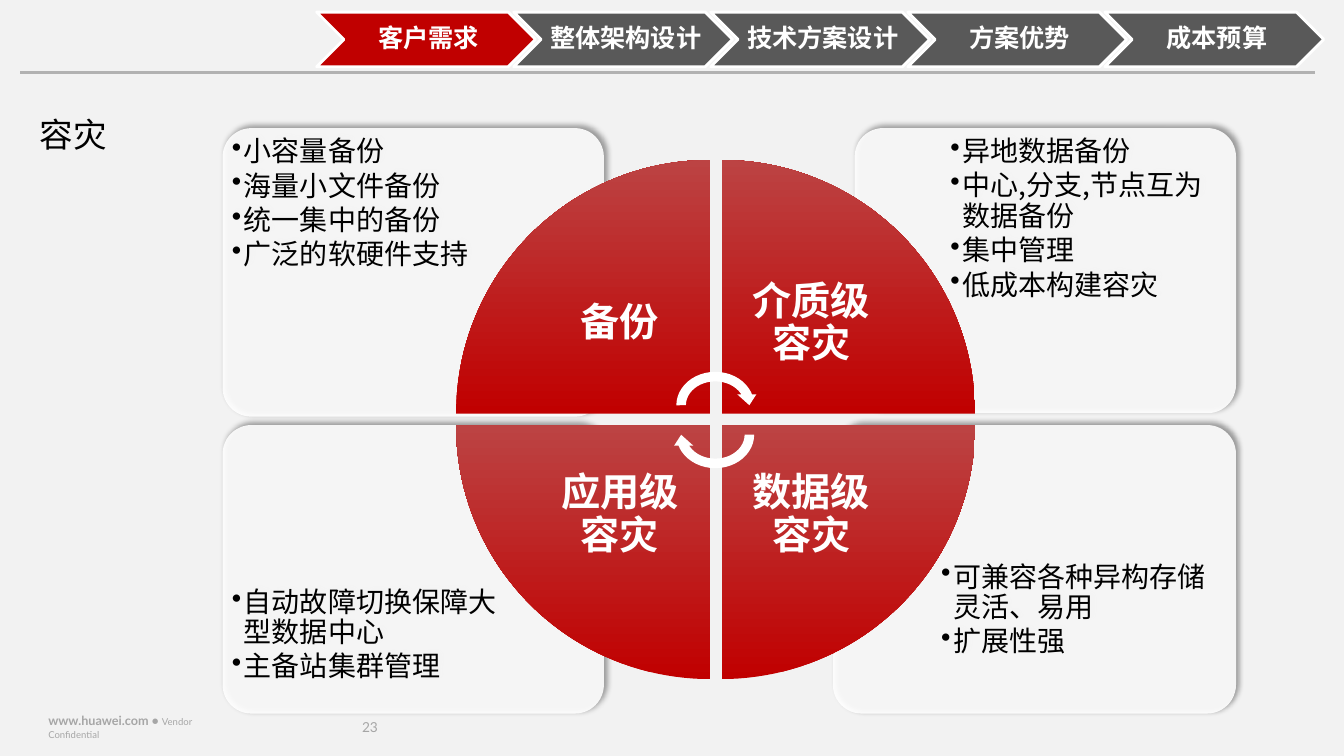
import math

from lxml import etree
from pptx import Presentation
from pptx.dml.color import RGBColor
from pptx.enum.shapes import MSO_CONNECTOR, MSO_SHAPE
from pptx.enum.text import MSO_ANCHOR, MSO_AUTO_SIZE, PP_ALIGN
from pptx.oxml import parse_xml
from pptx.oxml.ns import nsdecls, qn
from pptx.util import Inches, Pt

LEFT, CENTER = PP_ALIGN.LEFT, PP_ALIGN.CENTER
TOP, MIDDLE = MSO_ANCHOR.TOP, MSO_ANCHOR.MIDDLE
CHEVRON, ROUNDED = MSO_SHAPE.CHEVRON, MSO_SHAPE.ROUNDED_RECTANGLE
CYCLE_ARROW = MSO_SHAPE.CIRCULAR_ARROW

CELL = Inches(1) / 12  # the slide is a grid of 160 columns by 90 rows
CJK, LATIN = "Noto Sans CJK SC", "Lato"
COLORS = {
    "back": "F2F2F2", "red": "C00000", "rose": "BC4343", "dark": "595959",
    "white": "FFFFFF", "black": "000000", "rule": "B2B2B2", "muted": "A6A6A6",
}


def grid(*cells):
    return [round(c * CELL) for c in cells]


def rgb(name):
    return RGBColor.from_string(COLORS[name])


class SlideBuilder:
    def __init__(self, prs):
        self.s = prs.slides.add_slide(prs.slide_layouts[5])
        fill = self.s.background.fill
        fill.solid()
        fill.fore_color.rgb = rgb("back")

    def style_run(self, r, size, color, bold=False, font=CJK):
        r.font.size, r.font.bold, r.font.name = Pt(size), bold, font
        r.font.color.rgb = rgb(color)
        ea = etree.SubElement(r.font._element, qn("a:ea"))
        ea.set("typeface", font)

    def frame(self, sp, insets, anchor=TOP):
        tf = sp.text_frame
        tf.word_wrap, tf.auto_size = True, MSO_AUTO_SIZE.NONE
        tf.vertical_anchor = anchor
        (tf.margin_left, tf.margin_top,
         tf.margin_right, tf.margin_bottom) = grid(*insets)
        return tf

    def label(self, sp, text, size, insets, color="white", bold=True,
              align=CENTER, anchor=MIDDLE, spacing=0.9, font=CJK):
        tf = self.frame(sp, insets, anchor)
        tf.text = text
        p = tf.paragraphs[0]
        p.alignment, p.line_spacing = align, spacing
        self.style_run(p.runs[0], size, color, bold, font)
        return p

    def shape(self, kind, box, fill, line=None):
        sp = self.s.shapes.add_shape(kind, *grid(*box))
        sp.shadow.inherit = False
        sp.fill.solid()
        sp.fill.fore_color.rgb = rgb(fill)
        if line:
            sp.line.color.rgb, sp.line.width = rgb(line), Pt(2)
        else:
            sp.line.fill.background()
        return sp

    def textbox(self, box, text, size, insets, **style):
        sp = self.s.shapes.add_textbox(*grid(*box))
        return self.label(sp, text, size, insets, **style)

    def title(self, box, text):
        sp = self.s.shapes.title
        sp.left, sp.top, sp.width, sp.height = grid(*box)
        self.label(sp, text, 24, (1.2, 0.6, 1.2, 0.6), "black", False,
                   LEFT, TOP, 1.0)

    def rule(self, x1, x2, y):
        line = self.s.shapes.add_connector(MSO_CONNECTOR.STRAIGHT, *grid(x1, y, x2, y))
        line.line.color.rgb, line.line.width = rgb("rule"), Pt(2.25)
        etree.SubElement(line._element.spPr, qn("a:effectLst"))

    def card(self, box, insets, bullets):
        sp = self.shape(ROUNDED, box, "white")
        sp.adjustments[0] = 0.1
        color = sp._element.spPr.find(qn("a:solidFill"))[0]
        etree.SubElement(color, qn("a:alpha")).set("val", "90000")
        effects = sp._element.spPr.find(qn("a:effectLst"))
        effects.append(parse_xml(
            f'<a:outerShdw {nsdecls("a")} blurRad="{Pt(4)}" dist="{Pt(3)}" dir="18900000">'
            f'<a:srgbClr val="{COLORS["black"]}"><a:alpha val="40000"/></a:srgbClr>'
            '</a:outerShdw>'))
        tf = self.frame(sp, insets)
        tf.text = "\n".join(bullets)
        for p in tf.paragraphs:
            pPr = p._p.get_or_add_pPr()
            pPr.set("marL", str(Inches(0.12)))
            pPr.set("indent", str(-Inches(0.12)))
            etree.SubElement(pPr, qn("a:buChar")).set("char", "•")
            p.alignment, p.line_spacing, p.space_after = LEFT, 0.9, Pt(3)
            self.style_run(p.runs[0], 20, "black")

    def quadrant(self, center, radius, gap, side, text):
        (cx, cy), (sx, sy) = center, side
        x, y = cx + sx * gap / 2, cy + sy * gap / 2
        angles = [math.radians(a) for a in range(0, 91, 2)]
        arc = [grid(x + sx * radius * math.cos(a), y + sy * radius * math.sin(a))
               for a in angles]
        builder = self.s.shapes.build_freeform(*grid(x, y), scale=1.0)
        builder.add_line_segments(arc, close=True)
        sp = builder.convert_to_shape()
        sp.shadow.inherit = False
        sp.line.fill.background()
        sp.fill.gradient()
        sp.fill.gradient_angle = 90
        for stop, name in zip(sp.fill.gradient_stops, ("red", "rose")):
            stop.color.rgb = rgb(name)
        near, far = 2.6, 11.4
        left, right = (near, far) if sx > 0 else (far, near)
        top, bottom = (near, far) if sy > 0 else (far, near)
        self.label(sp, text, 28, (left, top, right, bottom))


def main():
    prs = Presentation()
    prs.slide_width, prs.slide_height = grid(160, 90)
    b = SlideBuilder(prs)

    # Title and footer
    b.title((3.5, 13, 13.4, 6), "容灾")
    b.textbox((43.1, 85.5, 4.8, 2.5), "23", 9.8, (0, 0, 0, 0), color="muted",
              bold=False, align=LEFT, spacing=0.85, font=LATIN)
    p = b.textbox((4.9, 85.1, 23, 2.8), "www.huawei.com • ", 9,
                  (0.85, 0.45, 0.85, 0.45), color="muted", align=LEFT,
                  spacing=1.0, font=LATIN)
    r = p.add_run()
    r.text = "Vendor Confidential"
    b.style_run(r, 6.8, "muted", font=LATIN)

    # Cards behind the disc
    cards = [
        ((26.5, 15.25, 45.4, 34.35), (0.1, 0.1, 11.4, 0),
         ["小容量备份", "海量小文件备份", "统一集中的备份", "广泛的软硬件支持"]),
        ((99.15, 50.6, 48, 34.35), (11.9, 15.4, 0.1, 0),
         ["可兼容各种异构存储灵活、易用", "扩展性强"]),
        ((26.5, 50.6, 45.4, 34.35), (0.1, 18.4, 10.4, 0),
         ["自动故障切换保障大型数据中心", "主备站集群管理"]),
        ((101.75, 15.25, 45.4, 33.95), (10.4, 0.1, 0.1, 0),
         ["异地数据备份", "中心,分支,节点互为数据备份", "集中管理", "低成本构建容灾"]),
    ]
    for card in cards:
        b.card(*card)

    # Disc of four quadrants
    quadrants = {(-1, -1): "备份", (1, -1): "介质级容灾",
                 (1, 1): "数据级容灾", (-1, 1): "应用级容灾"}
    for side, text in quadrants.items():
        b.quadrant((85.2, 49.95), 30.2, 1.4, side, text)

    # Cycle arrows in the middle
    for row, turn in ((43.7, 0), (47.2, 180)):
        b.shape(CYCLE_ARROW, (79.95, row, 10.4, 9.1), "white").rotation = turn

    # Chapter bar
    chapters = ["客户需求", "整体架构设计", "技术方案设计", "方案优势", "成本预算"]
    for i, chapter in enumerate(chapters):
        sp = b.shape(CHEVRON, (37.7 + 23.46 * i, 1.45, 26.05, 6.5),
                     "dark" if i else "red", "white")
        b.label(sp, chapter, 18, (0.95, 0.35, 0.35, 0.35))
    b.rule(2.4, 156.5, 8.65)

    prs.save("out.pptx")


if __name__ == "__main__":
    main()
